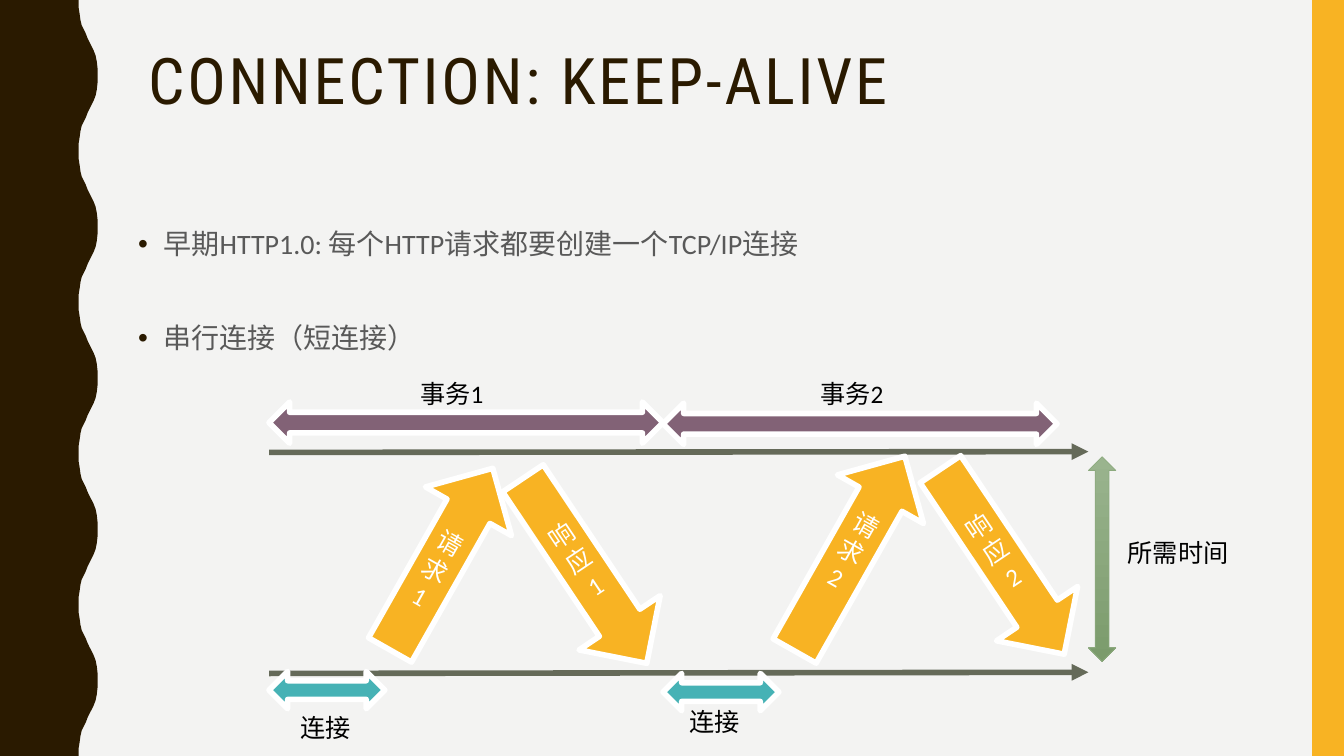
from dataclasses import dataclass

from lxml.etree import SubElement
from pptx import Presentation
from pptx.dml.color import RGBColor
from pptx.enum.shapes import MSO_CONNECTOR, MSO_SHAPE as SHAPE
from pptx.enum.text import MSO_ANCHOR as ANCHOR, MSO_AUTO_SIZE as AUTO, PP_ALIGN as ALIGN
from pptx.oxml.ns import qn
from pptx.util import Cm, Pt

# Content; all lengths in centimetres
TITLE = "CONNECTION: KEEP-ALIVE"
BULLETS = ["早期HTTP1.0: 每个HTTP请求都要创建一个TCP/IP连接", "串行连接（短连接）"]
TIMELINES = [(11.4, 11.38), (16.97, 16.94)]  # start y, end y
# text, box, bottom inset
REQUESTS = [
    ("请求1", (9.88, 11.46, 2.49, 5.26), 0.13),
    ("请求2", (20.17, 11.13, 2.49, 5.64), 0.9),
]
RESPONSES = [
    ("响应\n1", (13.51, 11.58, 2.46, 5.61), 0.13),
    ("响应\n2", (24.03, 11.35, 2.46, 5.61), 0.13),
]
TRANSACTION_TOPS = [10.13, 10.16]
CONNECTION_TOPS = [16.92, 16.97]
LABELS = [
    ("事务1", 10.34, 9.4), ("事务2", 20.42, 9.4), ("所需时间", 28.17, 13.41),
    ("连接", 7.32, 17.83), ("连接", 17.12, 17.68),
]
HALF_WAVE = [
    (1.98, 0), (1.98, 0.18), (2.01, 0.36), (2.03, 0.51), (2.06, 0.64),
    (2.11, 0.74), (2.16, 0.84), (2.21, 0.97), (2.26, 1.07), (2.31, 1.17),
    (2.36, 1.27), (2.41, 1.4), (2.44, 1.55), (2.46, 1.73),
]

WIDTH, HEIGHT = 33.87, 19.05
WAVES = 5
PERIOD = HEIGHT / WAVES
LINE_LEFT, LINE_RIGHT = 6.78, 27.43
TRANSACTION_W = 9.93


@dataclass(frozen=True)
class Theme:
    background: str = "F3F3F2"
    dark: str = "2A1A00"
    gold: str = "F8B323"
    teal: str = "46B2B5"
    purple: str = "826276"
    olive: str = "656A59"
    green_light: str = "9AB48E"
    green_dark: str = "7B9B6C"
    green_edge: str = "8CAA7E"
    body: str = "595959"
    white: str = "FFFFFF"
    black: str = "000000"
    heading_font: str = "Roboto Condensed"
    font: str = "Calibri"
    title_pt: float = 45.9
    body_pt: float = 20
    label_pt: float = 18
    outline_pt: float = 4


T = Theme()
rgb = RGBColor.from_string


def cms(*values):
    return [Cm(v) for v in values]


def format_text(tf, size, color, font=T.font, align=ALIGN.LEFT):
    tf.word_wrap = True
    for p in tf.paragraphs:
        p.alignment = align
        for r in p.runs:
            r.font.size, r.font.name = Pt(size), font
            r.font.color.rgb = rgb(color)


def paint(sp, fill, line=None):
    sp.shadow.inherit = False
    sp.fill.solid()
    sp.fill.fore_color.rgb = rgb(fill)
    if line:
        sp.line.color.rgb = rgb(line)
        sp.line.width = Pt(T.outline_pt)
    else:
        sp.line.fill.background()


def add_block(slide, kind, box, fill, line=None):
    sp = slide.shapes.add_shape(kind, *cms(*box))
    paint(sp, fill, line)
    return sp


def add_wave(slide):
    """Draw the left band, whose right edge repeats a mirrored half wave."""
    crest = (2.46, PERIOD / 2)
    falling = [(x, PERIOD - y) for x, y in reversed(HALF_WAVE[1:])]
    wave = HALF_WAVE + [crest] + falling
    edge = [(x, y + i * PERIOD) for i in range(WAVES) for x, y in wave]
    edge += [(HALF_WAVE[0][0], HEIGHT), (0, HEIGHT)]
    builder = slide.shapes.build_freeform(0, 0)
    builder.add_line_segments([cms(*point) for point in edge], close=True)
    paint(builder.convert_to_shape(), T.dark)


def add_title(slide):
    sp = slide.shapes.title
    sp.left, sp.top, sp.width, sp.height = cms(3.48, 1.07, 28.27, 2.06)
    tf = sp.text_frame
    tf.text = TITLE
    tf.auto_size, tf.vertical_anchor = AUTO.NONE, ANCHOR.MIDDLE
    format_text(tf, T.title_pt, T.dark, T.heading_font)
    p = tf.paragraphs[0]
    p.line_spacing = 0.9
    p.runs[0].font._element.set("spc", "200")


def add_bullets(slide):
    tf = slide.shapes.add_textbox(*cms(3.23, 5.51, 28.27, 9.98)).text_frame
    tf.text = "\n".join(BULLETS)
    for i, p in enumerate(tf.paragraphs):
        pPr = p._p.get_or_add_pPr()
        pPr.set("marL", str(Cm(0.64)))
        pPr.set("indent", str(-Cm(0.64)))
        color = SubElement(pPr, qn("a:buClr"))
        SubElement(color, qn("a:srgbClr"), val=T.dark)
        SubElement(pPr, qn("a:buFont"), typeface="Arial")
        SubElement(pPr, qn("a:buChar"), char="•")
        p.line_spacing = 1.1
        if i:
            p.space_before = Pt(40.5)
    format_text(tf, T.body_pt, T.body)


def add_timeline(slide, start_y, end_y):
    ends = cms(LINE_LEFT, start_y, LINE_RIGHT, end_y)
    line = slide.shapes.add_connector(MSO_CONNECTOR.STRAIGHT, *ends)
    line.line.color.rgb = rgb(T.olive)
    line.line.width = Pt(T.outline_pt)
    SubElement(line.line._get_or_add_ln(), qn("a:tailEnd"), type="triangle")
    SubElement(line._element.spPr, qn("a:effectLst"))


def add_message(slide, kind, rotation, text, box, bottom):
    sp = add_block(slide, kind, box, T.gold, T.white)
    sp.rotation = rotation
    tf = sp.text_frame
    tf.text = text
    tf.margin_bottom = Cm(bottom)
    tf.vertical_anchor = ANCHOR.MIDDLE
    format_text(tf, T.label_pt, T.white, align=ALIGN.CENTER)


def add_spans(slide, tops, width, height, fill):
    for i, top in enumerate(tops):
        box = (LINE_LEFT + i * TRANSACTION_W, top, width, height)
        add_block(slide, SHAPE.LEFT_RIGHT_ARROW, box, fill, T.white)


def add_duration(slide):
    sp = add_block(slide, SHAPE.UP_DOWN_ARROW, (LINE_RIGHT, 11.51, 0.69, 5.16), T.green_light)
    sp.fill.gradient()
    sp.fill.gradient_angle = 270
    for stop, color in zip(sp.fill.gradient_stops, (T.green_light, T.green_dark)):
        stop.color.rgb = rgb(color)
    sp.line.color.rgb = rgb(T.green_edge)
    sp.line.width = Pt(0.5)


def add_label(slide, text, left, top):
    tf = slide.shapes.add_textbox(*cms(left, top, 3.66, 1.04)).text_frame
    tf.text = text
    format_text(tf, T.label_pt, T.black)


def main():
    prs = Presentation()
    prs.slide_width, prs.slide_height = cms(WIDTH, HEIGHT)
    slide = prs.slides.add_slide(prs.slide_layouts[5])
    slide.background.fill.solid()
    slide.background.fill.fore_color.rgb = rgb(T.background)

    add_wave(slide)
    add_block(slide, SHAPE.RECTANGLE, (33.07, 0, 0.8, HEIGHT), T.gold)
    add_title(slide)
    add_bullets(slide)
    for timeline in TIMELINES:
        add_timeline(slide, *timeline)
    for request in REQUESTS:
        add_message(slide, SHAPE.UP_ARROW, 29.5, *request)
    for response in RESPONSES:
        add_message(slide, SHAPE.DOWN_ARROW, 326.2, *response)
    add_spans(slide, CONNECTION_TOPS, 2.92, 0.94, T.teal)
    add_spans(slide, TRANSACTION_TOPS, TRANSACTION_W, 1.04, T.purple)
    add_duration(slide)
    for label in LABELS:
        add_label(slide, *label)
    prs.save("out.pptx")


if __name__ == "__main__":
    main()
